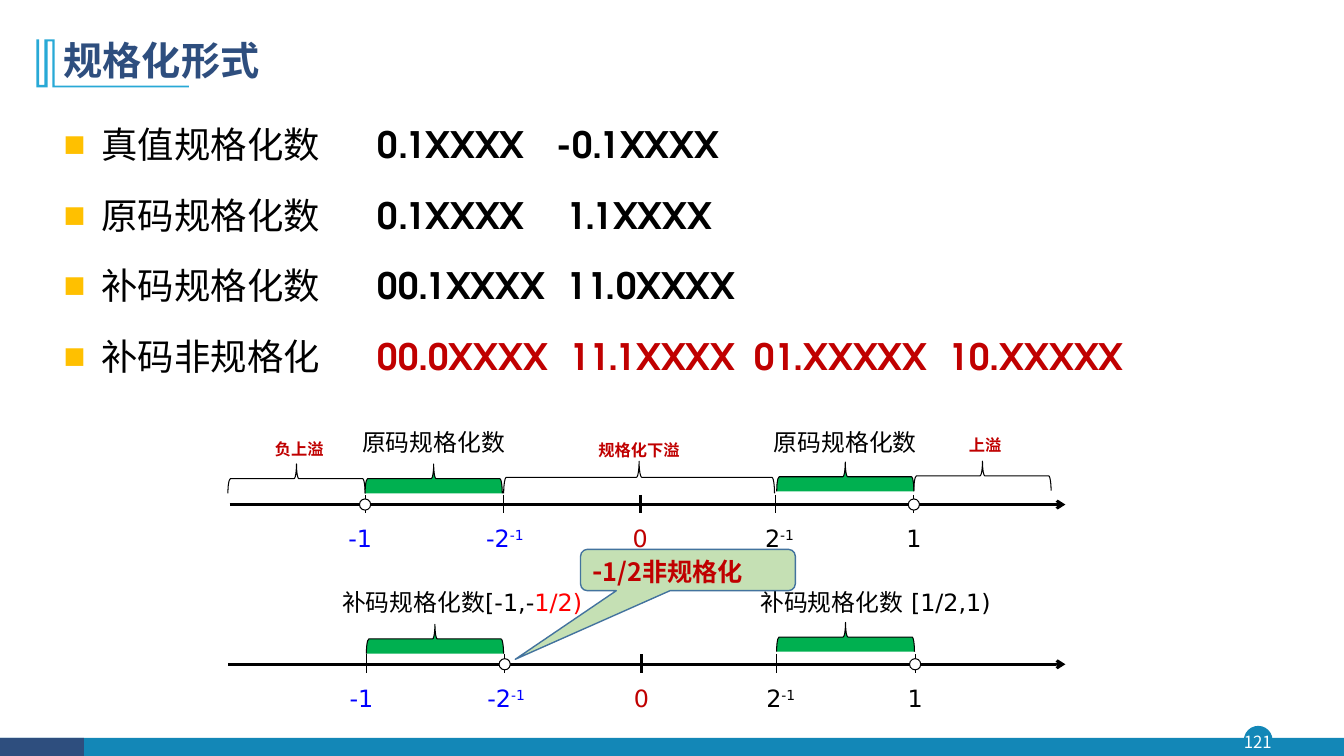
from collections import namedtuple
from dataclasses import dataclass

from lxml.etree import SubElement
from pptx import Presentation
from pptx.dml.color import RGBColor
from pptx.enum.shapes import MSO_CONNECTOR, MSO_SHAPE
from pptx.enum.text import MSO_ANCHOR, MSO_AUTO_SIZE, PP_ALIGN
from pptx.oxml.ns import qn
from pptx.util import Pt

Box = namedtuple("Box", "left top width height")
Region = namedtuple("Region", "start end lift rise fill label nudge label_rise")
Mark = namedtuple("Mark", "offset nudge weight open runs")


@dataclass(frozen=True)
class Theme:
    navy: str = "2E4E7E"
    teal: str = "1387B7"
    sky: str = "28A9D6"
    gold: str = "FFC000"
    green: str = "00B050"
    pale_green: str = "C5E0B4"
    outline: str = "43739E"
    black: str = "000000"
    white: str = "FFFFFF"
    dark_red: str = "C00000"
    red: str = "FF0000"
    blue: str = "0000FF"
    heading_font: str = "Noto Sans CJK SC"
    list_font: str = "TeX Gyre Adventor"
    label_font: str = "DejaVu Sans"
    title_size: float = 28
    list_size: float = 26
    warning_size: float = 20
    callout_size: float = 18
    label_size: float = 17
    number_size: float = 12


THEME = Theme()
LABEL = dict(name=THEME.label_font, size=THEME.label_size, color=THEME.black)
ZERO = {**LABEL, "color": THEME.dark_red}
NEGATIVE = {**LABEL, "color": THEME.blue}
ENDING = {**LABEL, "color": THEME.red}
WARNING = dict(name=THEME.heading_font, size=THEME.warning_size, color=THEME.dark_red, bold=True)
RAISED_WARNING = {**WARNING, "raised": True}
LIST = dict(name=THEME.list_font, size=THEME.list_size, color=THEME.black)
TITLE = dict(name=THEME.heading_font, size=THEME.title_size, color=THEME.navy, bold=True)
CENTERED = dict(alignment=PP_ALIGN.CENTER, line_spacing=0.8)

# Label, codes, position of the second code, colour of the codes
CODE_ROWS = [
    ("真值规格化数", "0.1XXXX\t-0.1XXXX", 128, THEME.black),
    ("原码规格化数", "0.1XXXX\t1.1XXXX", 135, THEME.black),
    ("补码规格化数", "00.1XXXX\t11.0XXXX", 135, THEME.black),
    ("补码非规格化", "00.0XXXX\t11.1XXXX\t01.XXXXX\t10.XXXXX", 137, THEME.dark_red),
]
LATER_CODES = (269, 408)


def points(*lengths):
    return [Pt(length) for length in lengths]


def set_all(target, values):
    for name, value in values.items():
        setattr(target, name, value)


def add_run(paragraph, text, style):
    run = paragraph.add_run()
    run.text = text
    values = dict(style)
    raised = values.pop("raised", False)
    run.font.color.rgb = RGBColor.from_string(values.pop("color"))
    set_all(run.font, {**values, "size": Pt(values["size"])})
    properties = run.font._element
    SubElement(properties, qn("a:ea")).set("typeface", style["name"])
    if raised:
        properties.set("baseline", "30000")


def add_text(slide, box, runs, frame_format=None, paragraph_format=CENTERED):
    shape = slide.shapes.add_textbox(*points(*box))
    set_all(shape.text_frame, {"word_wrap": True, **(frame_format or {})})
    paragraph = shape.text_frame.paragraphs[0]
    set_all(paragraph, paragraph_format)
    for text, style in runs:
        add_run(paragraph, text, style)


def paint(shape, fill, line=None, weight=0.75):
    shape.shadow.inherit = False
    if fill:
        shape.fill.solid()
        shape.fill.fore_color.rgb = RGBColor.from_string(fill)
    else:
        shape.fill.background()
    if line:
        shape.line.color.rgb = RGBColor.from_string(line)
        shape.line.width = Pt(weight)
    else:
        shape.line.fill.background()


def add_shape(slide, kind, box, fill, line=None, weight=0.75):
    shape = slide.shapes.add_shape(kind, *points(*box))
    paint(shape, fill, line, weight)
    return shape


def add_line(slide, start, end, weight, arrow=False):
    line = slide.shapes.add_connector(MSO_CONNECTOR.STRAIGHT, *points(*start, *end))
    line.line.color.rgb = RGBColor.from_string(THEME.black)
    line.line.width = Pt(weight)
    if arrow:
        SubElement(line.line._get_or_add_ln(), qn("a:tailEnd")).set("type", "arrow")
    SubElement(line._element.spPr, qn("a:effectLst"))


def add_brace(slide, box, fill):
    """Draw a brace whose point faces up and which fills the given box."""
    middle_x, middle_y = box.left + box.width / 2, box.top + box.height / 2
    upright = Box(middle_x - box.height / 2, middle_y - box.width / 2, box.height, box.width)
    brace = add_shape(slide, MSO_SHAPE.RIGHT_BRACE, upright, fill, THEME.black)
    brace.rotation = 270
    brace.adjustments[0] = 0.083


def add_footer(slide, box):
    badge = Box(box.left + 889, box.top - 8, 19.5, 19.5)
    add_shape(slide, MSO_SHAPE.OVAL, badge, THEME.teal, THEME.teal, 1)
    add_shape(slide, MSO_SHAPE.RECTANGLE, box, THEME.teal)
    add_shape(slide, MSO_SHAPE.RECTANGLE, box._replace(width=60), THEME.navy)
    number = dict(name=THEME.heading_font, size=THEME.number_size, color=THEME.white)
    frame_format = dict(margin_left=0, margin_right=0, margin_top=0, margin_bottom=0,
                        vertical_anchor=MSO_ANCHOR.MIDDLE)
    add_text(slide, Box(box.left + 887, box.top - 8, 23, 22.3), [("121", number)],
             frame_format, dict(alignment=PP_ALIGN.CENTER))


def place_placeholder(shape, box, anchor):
    set_all(shape, dict(zip(Box._fields, points(*box))))
    set_all(shape.text_frame, dict(auto_size=MSO_AUTO_SIZE.NONE, vertical_anchor=anchor, word_wrap=True))
    return shape.text_frame


def add_heading(slide, box):
    outline = [(13, 0), (13, 33), (109, 33), (109, 34.3), (11.5, 34.3), (11.5, 1.4), (8, 1.4),
               (8, 34.3), (0, 34.3), (0, 0), (2, 0), (2, 32.4), (5.8, 32.4), (5.8, 0)]
    corners = [points(box.left - 12.2 + x, box.top + 8 + y) for x, y in outline]
    builder = slide.shapes.build_freeform(*corners[0])
    builder.add_line_segments(corners[1:], close=True)
    paint(builder.convert_to_shape(), THEME.sky)
    paragraph = place_placeholder(slide.shapes.title, box, MSO_ANCHOR.MIDDLE).paragraphs[0]
    set_all(paragraph, dict(alignment=PP_ALIGN.LEFT, line_spacing=0.9))
    add_run(paragraph, "规格化形式", TITLE)


def add_code_list(slide, box):
    """Place the bulleted names and, on the same lines, their code patterns."""
    names = place_placeholder(slide.placeholders[1], box._replace(width=225), MSO_ANCHOR.TOP)
    code_box = Box(box.left + 224.5, box.top, box.width - 224.5, box.height)
    codes = slide.shapes.add_textbox(*points(*code_box)).text_frame
    codes.word_wrap = True
    for index, (name, code, second_code, color) in enumerate(CODE_ROWS):
        name_line, code_line = [
            frame.add_paragraph() if index else frame.paragraphs[0] for frame in (names, codes)]
        properties = name_line._p.get_or_add_pPr()
        properties.set("marL", str(Pt(27)))
        properties.set("indent", str(Pt(-27)))
        bullet_color = SubElement(properties, qn("a:buClr"))
        SubElement(bullet_color, qn("a:srgbClr")).set("val", THEME.gold)
        SubElement(properties, qn("a:buChar")).set("char", "■")
        tab_list = SubElement(code_line._p.get_or_add_pPr(), qn("a:tabLst"))
        for position in (second_code, *LATER_CODES):
            tab = SubElement(tab_list, qn("a:tab"))
            tab.set("pos", str(Pt(position)))
            tab.set("algn", "l")
        for paragraph in (name_line, code_line):
            set_all(paragraph, dict(line_spacing=1.3, space_before=Pt(10 if index else 0)))
        add_run(name_line, name, LIST)
        add_run(code_line, code, {**LIST, "color": color, "bold": True})


def add_number_line(slide, box, zero, regions, open_marks, zero_weight):
    """Draw an axis along the middle of the box, with marks and braces placed from zero."""
    axis = box.top + box.height / 2
    middle = box.left + zero
    for region in regions:
        left, width = middle + region.start, region.end - region.start
        add_brace(slide, Box(left, axis - region.lift - region.rise, width, region.rise), region.fill)
        center = left + width / 2 + region.nudge
        add_text(slide, Box(center - 108, axis - region.label_rise, 216, 24), region.label)
    add_line(slide, (box.left, axis), (box.left + box.width, axis), 2, arrow=True)
    power = ("-1", {**LABEL, "raised": True})
    negative_power = ("-1", {**NEGATIVE, "raised": True})
    marks = [
        Mark(-196.5, -3.5, 0.75, "-1" in open_marks, [("-1", NEGATIVE)]),
        Mark(-97.7, 1, 0.75, "-1/2" in open_marks, [("-2", NEGATIVE), negative_power]),
        Mark(0, 0, zero_weight, False, [("0", ZERO)]),
        Mark(96.5, 3, 0.75, False, [("2", LABEL), power]),
        Mark(195.5, 0, 0.75, "1" in open_marks, [("1", LABEL)]),
    ]
    for mark in marks:
        x = middle + mark.offset
        add_line(slide, (x, axis - 7), (x, axis + 6), mark.weight)
        if mark.open:
            add_shape(slide, MSO_SHAPE.OVAL, Box(x - 4, axis - 4, 8, 8), THEME.white, THEME.black)
        add_text(slide, Box(x + mark.nudge - 36, axis + 14.2, 72, 24), mark.runs)


def add_callout(slide, box):
    callout = add_shape(slide, MSO_SHAPE.ROUNDED_RECTANGULAR_CALLOUT, box,
                        THEME.pale_green, THEME.outline, 1)
    for index, value in enumerate((-0.804, 2.161, 0.167)):
        callout.adjustments[index] = value
    set_all(callout.text_frame, dict(word_wrap=True, vertical_anchor=MSO_ANCHOR.MIDDLE))
    paragraph = callout.text_frame.paragraphs[0]
    paragraph.alignment = PP_ALIGN.LEFT
    add_run(paragraph, "-", WARNING)
    add_run(paragraph, "1/2非规格化", {**WARNING, "size": THEME.callout_size})


def main():
    presentation = Presentation()
    set_all(presentation, dict(slide_width=Pt(960), slide_height=Pt(540)))
    slide = presentation.slides.add_slide(presentation.slide_layouts[1])
    add_footer(slide, Box(0, 527, 960, 13))
    add_heading(slide, Box(38.2, 20.2, 828, 49))
    add_code_list(slide, Box(38.2, 74.2, 884, 201))
    sign_label = [("原码规格化数", LABEL)]
    add_number_line(slide, Box(164, 350.4, 597, 20), 293.3, [
        Region(-294.5, -196.5, 8, 21, None, [("负上溢", RAISED_WARNING)], 2, 48),
        Region(-196.5, -98.5, 8, 21, THEME.green, sign_label, 0, 54.4),
        Region(-97.5, 96, 8, 23, None, [("规格化下溢", RAISED_WARNING)], 0, 47.2),
        Region(97.5, 195.5, 9.4, 21, THEME.green, sign_label, 0, 54.4),
        Region(195.5, 293.5, 10, 21, None, [("上溢", RAISED_WARNING)], 2, 50.8),
    ], ("-1", "1"), 2)
    add_number_line(slide, Box(163, 464.5, 598, 20), 295.2, [
        Region(-196.5, -98.5, 7.6, 21, THEME.green,
               [("补码规格化数[-1,-", LABEL), ("1/2)", ENDING)], 19.4, 54),
        Region(96.5, 195, 9, 21, THEME.green, [("补码规格化数 [1/2,1)", LABEL)], 21.5, 54),
    ], ("-1/2", "1"), 1.5)
    add_callout(slide, Box(414.7, 392.4, 153.4, 29.5))
    presentation.save("out.pptx")


if __name__ == "__main__":
    main()
